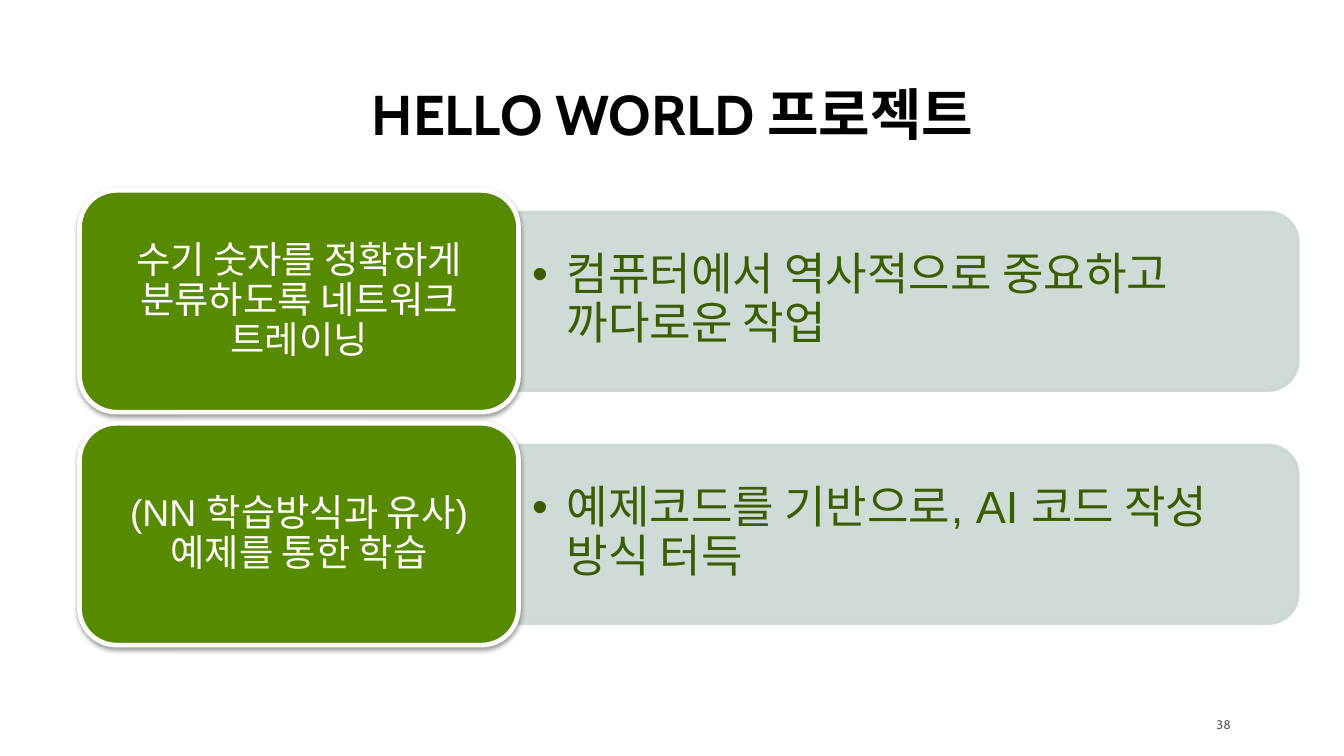
from lxml.etree import SubElement as Sub
from pptx import Presentation
from pptx.dml.color import RGBColor as RGB
from pptx.enum.shapes import MSO_SHAPE as Shape
from pptx.enum.text import MSO_ANCHOR as Anchor, PP_ALIGN as Align
from pptx.oxml.ns import qn
from pptx.util import Inches, Pt

TITLE = "HELLO WORLD 프로젝트"
PAGE = "38"
ROWS = [
    ("수기 숫자를 정확하게 분류하도록 네트워크 트레이닝",
     "컴퓨터에서 역사적으로 중요하고 까다로운 작업"),
    ("(NN 학습방식과 유사)\n예제를 통한 학습",
     "예제코드를 기반으로, AI 코드 작성 방식 터득"),
]
COLORS = {"title": "000000", "page": "5E5E5E", "band": "CAD8D2",
          "card": "588A00", "white": "FFFFFF", "body": "3B5C00"}
TOP, STEP = 1.7, 2.08
LEFT, CARD_W, CARD_H = 0.71, 3.92, 1.98
BAND_W, BAND_H = 6.96, 1.59
PAD = 0.1


def tint(node, pct):
    Sub(node, qn("a:alpha"), val=str(pct * 1000))


def add_text(slide, box, text, font, size, color, align=Align.CENTER,
             anchor=Anchor.MIDDLE, pad=(0.1, 0.05), bold=False, space=0.9):
    frame = slide.shapes.add_textbox(*map(Inches, box)).text_frame
    frame.word_wrap = True
    frame.vertical_anchor = anchor
    frame.margin_left = frame.margin_right = Inches(pad[0])
    frame.margin_top = frame.margin_bottom = Inches(pad[1])
    para = frame.paragraphs[0]
    para.text = text
    para.alignment = align
    para.line_spacing = space
    for run in para.runs:
        run.font.name = font
        run.font.size = Pt(size)
        run.font.bold = bold
        run.font.color.rgb = RGB.from_string(COLORS[color])
    return para


def add_bullet(para):
    props = para._p.get_or_add_pPr()
    props.set("marL", str(Inches(0.31)))
    props.set("indent", str(Inches(-0.31)))
    Sub(Sub(props, qn("a:buClr")), qn("a:srgbClr"), val=COLORS["body"])
    Sub(props, qn("a:buFont"), typeface="Arial")
    Sub(props, qn("a:buChar"), char="•")


def add_shape(slide, kind, box, fill, line, width):
    shape = slide.shapes.add_shape(kind, *map(Inches, box))
    shape.shadow.inherit = False
    shape.adjustments[0] = 0.167
    shape.fill.solid()
    shape.fill.fore_color.rgb = RGB.from_string(COLORS[fill])
    shape.line.color.rgb = RGB.from_string(COLORS[line])
    shape.line.width = Pt(width)
    return shape


def add_band(slide, mid):
    x = LEFT + CARD_W + (BAND_W - BAND_H) / 2
    box = (x, mid - BAND_W / 2, BAND_H, BAND_W)
    band = add_shape(slide, Shape.ROUND_2_SAME_RECTANGLE, box, "band", "band", 2)
    band.rotation = 90
    for color in band._element.spPr.iter(qn("a:srgbClr")):
        tint(color, 90)


def add_card(slide, top):
    box = (LEFT, top, CARD_W, CARD_H)
    card = add_shape(slide, Shape.ROUNDED_RECTANGLE, box, "card", "white", 3)
    effects = card._element.spPr.find(qn("a:effectLst"))
    shade = Sub(effects, qn("a:outerShdw"), blurRad=str(Pt(3.1)),
                dist=str(Pt(1.6)), dir="5400000", rotWithShape="0")
    tint(Sub(shade, qn("a:srgbClr"), val="000000"), 38)


def main():
    deck = Presentation()
    deck.slide_width, deck.slide_height = Inches(12), Inches(6.75)
    slide = deck.slides.add_slide(deck.slide_layouts[6])
    add_text(slide, (10.6, 6.38, 0.39, 0.18), PAGE, "Cabin", 8, "page",
             Align.RIGHT, pad=(0, 0), space=1.0)
    add_text(slide, (0.55, 0.72, 10.91, 0.65), TITLE, "Cabin", 36, "title",
             anchor=Anchor.BOTTOM, bold=True)
    for i, (label, note) in enumerate(ROWS):
        top = TOP + i * STEP
        mid = top + CARD_H / 2
        add_band(slide, mid)
        para = add_text(slide, (LEFT + CARD_W, mid - 0.72, 6.89, 1.43), note,
                        "Arial", 29, "body", Align.LEFT, pad=(0.12, 0.06))
        add_bullet(para)
        add_card(slide, top)
        box = (LEFT + PAD, top + PAD, CARD_W - 2 * PAD, CARD_H - 2 * PAD)
        add_text(slide, box, label, "Arial", 24, "white")
    deck.save("out.pptx")


if __name__ == "__main__":
    main()
